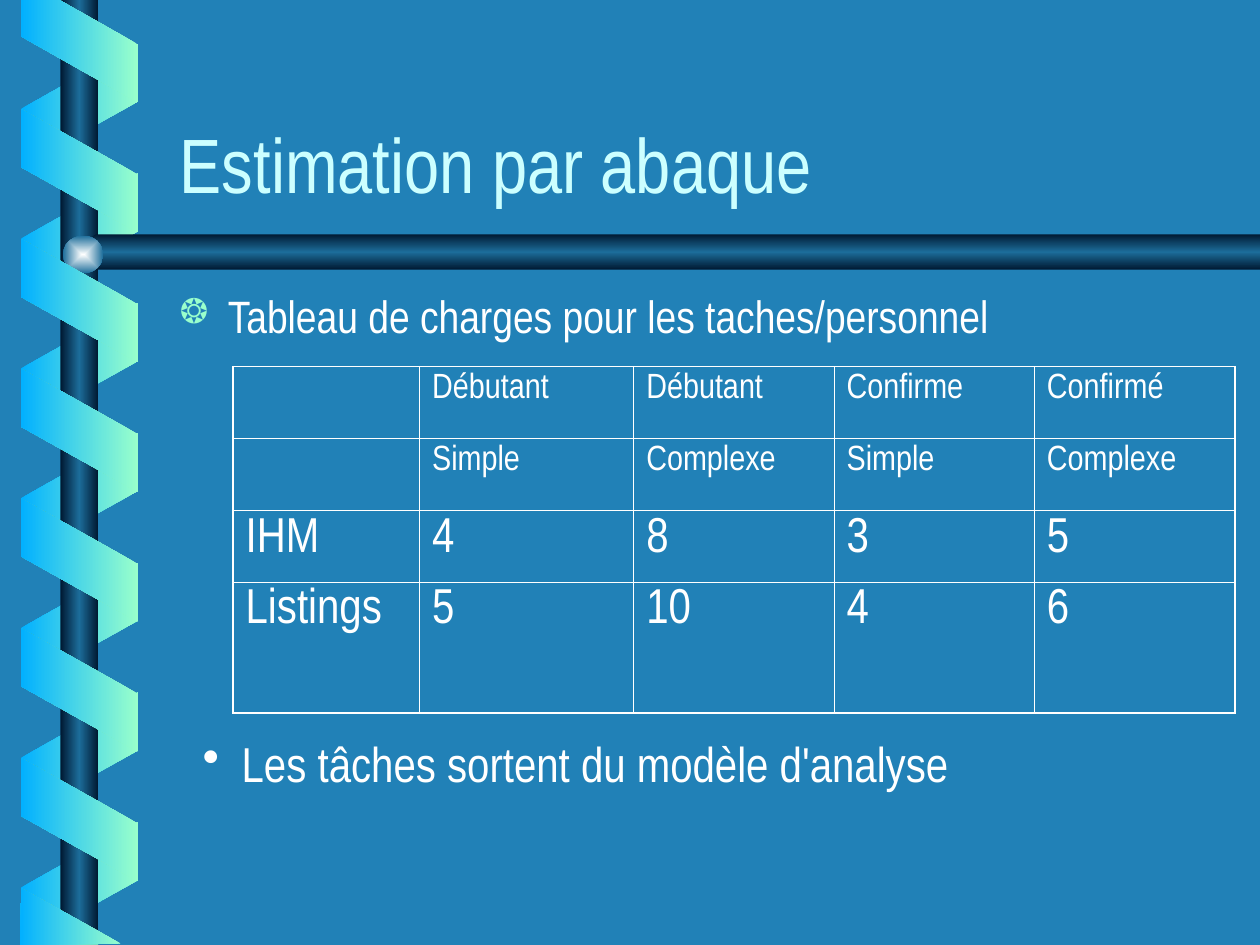
from pptx import Presentation
from pptx.dml.color import RGBColor
from pptx.enum.shapes import MSO_SHAPE
from pptx.enum.text import MSO_ANCHOR
from pptx.oxml import parse_xml
from pptx.oxml.ns import nsdecls, qn
from pptx.util import Inches, Pt

PARALLELOGRAM, RECTANGLE, OVAL = MSO_SHAPE.PARALLELOGRAM, MSO_SHAPE.RECTANGLE, MSO_SHAPE.OVAL
TOP, BOTTOM = MSO_ANCHOR.TOP, MSO_ANCHOR.BOTTOM

FONT = "Arial Narrow"
BLUE, MINT, WHITE = "01B0FF", "99FFCC", "FFFFFF"
STEEL = ["001932", "1C6D9A", "001932"]
LEFTWARD = '<a:lin ang="10800000" scaled="0"/>'
DOWNWARD = '<a:lin ang="5400000" scaled="0"/>'
FROM_CENTRE = ('<a:path path="rect"><a:fillToRect l="50000" t="50000" '
               'r="50000" b="50000"/></a:path>')
COILS = 7
COIL_PITCH = 1.03

COLUMN_WIDTHS = [1.48, 1.7, 1.59, 1.59, 1.59]
ROW_HEIGHTS = [0.57, 0.57, 0.57, 1.04]
ROW_SIZES = [20, 20, 28, 28]
ROWS = [
    ["", "Débutant", "Débutant", "Confirme", "Confirmé"],
    ["", "Simple", "Complexe", "Simple", "Complexe"],
    ["IHM", "4", "8", "3", "5"],
    ["Listings", "5", "10", "4", "6"],
]


def rgb(value):
    return RGBColor.from_string(value)


def paint(sp, colours, direction):
    """Give a shape a gradient of evenly spaced colours and no outline."""
    sp.shadow.inherit = False
    sp.fill.background()
    sp.line.fill.background()
    last = len(colours) - 1
    stops = "".join(
        f'<a:gs pos="{100000 * i // last}"><a:srgbClr val="{c}"/></a:gs>'
        for i, c in enumerate(colours))
    gradient = parse_xml(
        f'<a:gradFill {nsdecls("a")} rotWithShape="0">'
        f'<a:gsLst>{stops}</a:gsLst>{direction}</a:gradFill>')
    spPr = sp._element.spPr
    spPr.replace(spPr.find(qn("a:noFill")), gradient)


def add_preset(s, kind, box, colours, direction):
    sp = s.shapes.add_shape(kind, *map(Inches, box))
    paint(sp, colours, direction)
    return sp


def add_outline(s, points, colours, direction):
    points = [(Inches(x), Inches(y)) for x, y in points]
    builder = s.shapes.build_freeform(*points[0], scale=1)
    builder.add_line_segments(points[1:], close=True)
    paint(builder.convert_to_shape(), colours, direction)


def add_coil(s, top, front):
    """Add one slanted ribbon piece, before or behind the rod."""
    colours = [MINT, BLUE] if front else [BLUE, MINT]
    sp = add_preset(s, PARALLELOGRAM, (0.14, top, 0.98, 0.93), colours, LEFTWARD)
    sp.adjustments[0] = 0.56
    sp.rotation = 270 if front else 90
    if not front:
        sp._element.spPr.find(qn("a:xfrm")).set("flipH", "1")


def add_spiral_and_bar(s):
    for i in range(COILS):
        add_coil(s, 0.37 + i * COIL_PITCH, front=False)
    add_preset(s, RECTANGLE, (0.48, 0, 0.3, 7.5), STEEL, LEFTWARD)
    bar = [(10, 1.86), (0.76, 1.86), (0.6, 2), (0.76, 2.14), (10, 2.14)]
    add_outline(s, bar, STEEL, DOWNWARD)
    add_preset(s, OVAL, (0.5, 1.87, 0.32, 0.3), ["FEFFFF", "1C6D9A"], FROM_CENTRE)
    for i in range(COILS - 1):
        add_coil(s, 0.89 + i * COIL_PITCH, front=True)
    top_end = [(0.17, 0), (0.17, 0.29), (1.09, 0.81), (1.09, 0.35), (0.47, 0)]
    bottom_end = [(0.96, 7.49), (0.17, 7.05), (0.16, 7.5)]
    for points in (top_end, bottom_end):
        add_outline(s, points, [MINT, BLUE], LEFTWARD)


def set_bullet(p, char, colour, percent, indent):
    pPr = p._p.get_or_add_pPr()
    pPr.set("marL", str(Inches(indent)))
    pPr.set("indent", str(-Inches(indent)))
    for tag in (f'buClr {nsdecls("a")}><a:srgbClr val="{colour}"/></a:buClr',
                f'buSzPct {nsdecls("a")} val="{percent * 1000}"/',
                f'buChar {nsdecls("a")} char="{char}"/'):
        pPr.append(parse_xml(f"<a:{tag}>"))


def write(p, text, size, colour=WHITE):
    r = p.add_run()
    r.text = text
    for name, value in {"name": FONT, "size": Pt(size)}.items():
        setattr(r.font, name, value)
    r.font.color.rgb = rgb(colour)


def add_text(s, box, text, size, colour=WHITE, anchor=TOP, bullet=None):
    tf = s.shapes.add_textbox(*map(Inches, box)).text_frame
    tf.word_wrap = True
    tf.vertical_anchor = anchor
    p = tf.paragraphs[0]
    if bullet:
        set_bullet(p, *bullet)
    write(p, text, size, colour)


def set_borders(cell, outer):
    """Draw the four cell borders, thicker on the sides named in outer."""
    tcPr = cell._tc.get_or_add_tcPr()
    for side in "LRTB":
        width = Pt(1.08 if side in outer else 0.45)
        tcPr.append(parse_xml(
            f'<a:ln{side} {nsdecls("a")} w="{width}"><a:solidFill>'
            f'<a:srgbClr val="{WHITE}"/></a:solidFill></a:ln{side}>'))


def add_workload_table(s):
    n_rows, n_cols = len(ROWS), len(COLUMN_WIDTHS)
    box = (1.85, 2.91, sum(COLUMN_WIDTHS), sum(ROW_HEIGHTS))
    table = s.shapes.add_table(n_rows, n_cols, *map(Inches, box)).table
    table.first_row = table.horz_banding = False
    for column, width in zip(table.columns, COLUMN_WIDTHS):
        column.width = Inches(width)
    for i, (row, height) in enumerate(zip(table.rows, ROW_HEIGHTS)):
        row.height = Inches(height)
        for j, cell in enumerate(row.cells):
            edges = {"T": i == 0, "B": i == n_rows - 1,
                     "L": j == 0, "R": j == n_cols - 1}
            set_borders(cell, [side for side, outer in edges.items() if outer])
            cell.fill.background()
            if ROWS[i][j]:
                write(cell.text_frame.paragraphs[0], ROWS[i][j], ROW_SIZES[i])


def main():
    prs = Presentation()
    prs.slide_width, prs.slide_height = Inches(10), Inches(7.5)
    s = prs.slides.add_slide(prs.slide_layouts[6])
    s.background.fill.solid()
    s.background.fill.fore_color.rgb = rgb("2181B7")
    add_spiral_and_bar(s)
    add_text(s, (1.33, 0.46, 8.5, 1.25), "Estimation par abaque", 44,
             colour="CCFFFF", anchor=BOTTOM)
    add_text(s, (1.33, 2.24, 8.67, 0.73),
             "Tableau de charges pour les taches/personnel", 25.9,
             bullet=("❂", MINT, 75, 0.38))
    add_workload_table(s)
    add_text(s, (1.51, 5.77, 8.22, 0.57),
             "Les tâches sortent du modèle d'analyse", 28,
             bullet=("•", WHITE, 100, 0.31))
    prs.save("out.pptx")


if __name__ == "__main__":
    main()
